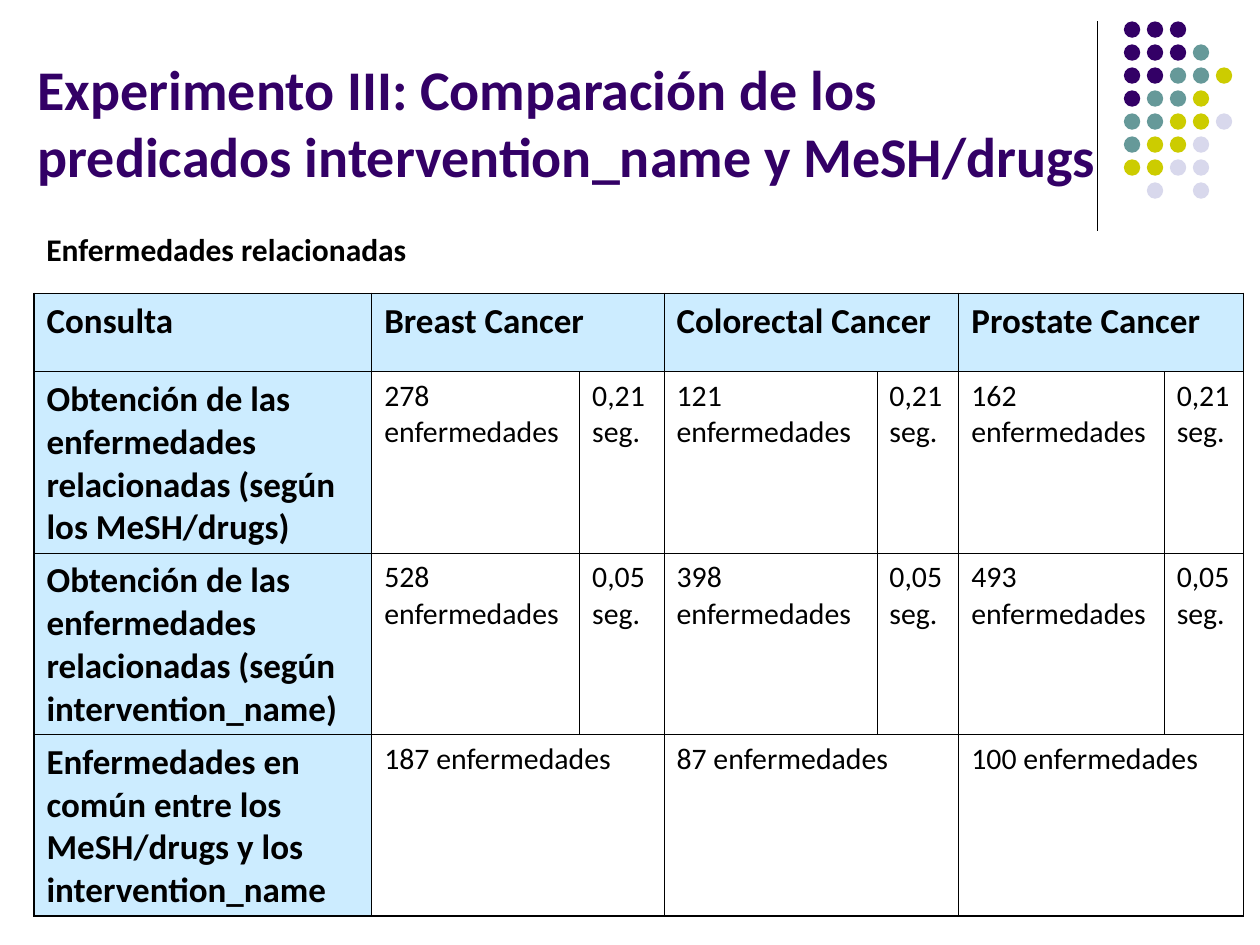
import pptx
import pptx.dml.color
import pptx.enum.shapes
import pptx.enum.text
import pptx.oxml
import pptx.oxml.ns
import pptx.util
import lxml.etree

INK = pptx.dml.color.RGBColor(0x00, 0x00, 0x00)
PURPLE = pptx.dml.color.RGBColor(0x33, 0x00, 0x66)
TEAL = pptx.dml.color.RGBColor(0x66, 0x99, 0x99)
LIME = pptx.dml.color.RGBColor(0xCC, 0xCC, 0x00)
LAVENDER = pptx.dml.color.RGBColor(0xD8, 0xD8, 0xEC)
SKY = pptx.dml.color.RGBColor(0xCC, 0xEC, 0xFF)

FONT = "Calibri"
WIDTH, HEIGHT = 10, 7.5
THIN, THICK = 0.45, 1.08

DOT_COLORS = {"P": PURPLE, "T": TEAL, "L": LIME, "V": LAVENDER}
DOT_ROWS = ["PPP", "PPPT", "PPTTL", "PTTL", "TTLLV", "TLLV", "LLVV", " V V"]
DOT_LEFT, DOT_TOP, DOT_SIZE = 8.92, 0.17, 0.13
DOT_PITCH = 0.73 / 4

COLUMN_WIDTHS = [2.68, 1.65, 0.67, 1.69, 0.65, 1.63, 0.63]
ROW_HEIGHTS = [0.62, 1.44, 1.44, 1.44]
PAIR_COLUMNS = [1, 3, 5]
PAIRED_ROWS = [0, 3]
TABLE_TEXT = [
    ["Consulta", "Breast Cancer", "", "Colorectal Cancer", "", "Prostate Cancer", ""],
    ["Obtención de las enfermedades relacionadas (según los MeSH/drugs)",
     "278 enfermedades", "0,21 seg.", "121 enfermedades", "0,21 seg.",
     "162 enfermedades", "0,21 seg."],
    ["Obtención de las enfermedades relacionadas (según intervention_name)",
     "528 enfermedades", "0,05 seg.", "398 enfermedades", "0,05 seg.",
     "493 enfermedades", "0,05 seg."],
    ["Enfermedades en común entre los MeSH/drugs y los intervention_name",
     "187 enfermedades", "", "87 enfermedades", "", "100 enfermedades", ""],
]


def inches(*lengths):
    return [pptx.util.Inches(length) for length in lengths]


def add_span(para, text, size, color, bold):
    span = para.add_run()
    span.text = text
    span.font.name = FONT
    span.font.size = pptx.util.Pt(size)
    span.font.bold = bold
    span.font.color.rgb = color


def add_text(page, area, lines, size, color, anchor):
    box = page.shapes.add_textbox(*inches(*area))
    frame = box.text_frame
    frame.word_wrap = True
    frame.vertical_anchor = anchor
    para = frame.paragraphs[0]
    for index, line in enumerate(lines):
        if index:
            para.add_line_break()
        add_span(para, line, size, color, True)


def add_divider(page):
    rule = page.shapes.add_connector(
        pptx.enum.shapes.MSO_CONNECTOR.STRAIGHT, *inches(8.71, 0.17, 8.71, 1.83))
    rule.line.color.rgb = INK
    rule.line.width = pptx.util.Pt(0.75)
    lxml.etree.SubElement(rule._element.spPr, pptx.oxml.ns.qn("a:effectLst"))


def add_dots(page):
    group = page.shapes.add_group_shape()
    for row, marks in enumerate(DOT_ROWS):
        for column, mark in enumerate(marks):
            if mark not in DOT_COLORS:
                continue
            dot = group.shapes.add_shape(
                pptx.enum.shapes.MSO_SHAPE.OVAL,
                *inches(DOT_LEFT + column * DOT_PITCH, DOT_TOP + row * DOT_PITCH,
                        DOT_SIZE, DOT_SIZE))
            dot.shadow.inherit = False
            dot.fill.solid()
            dot.fill.fore_color.rgb = DOT_COLORS[mark]
            dot.line.fill.background()


def set_borders(cell, row, column):
    last_column = column + cell.span_width == len(COLUMN_WIDTHS)
    outer_sides = {"lnL": column == 0, "lnR": last_column,
                   "lnT": row == 0, "lnB": row == len(ROW_HEIGHTS) - 1}
    properties = cell._tc.get_or_add_tcPr()
    for side, outer in outer_sides.items():
        width = pptx.util.Pt(THICK if outer else THIN)
        edge = lxml.etree.SubElement(
            properties, pptx.oxml.ns.qn("a:" + side), w=str(int(width)))
        fill = lxml.etree.SubElement(edge, pptx.oxml.ns.qn("a:solidFill"))
        lxml.etree.SubElement(fill, pptx.oxml.ns.qn("a:srgbClr"), val=str(INK))


def fill_cell(cell, row, column, text):
    heading = row == 0 or column == 0
    set_borders(cell, row, column)
    if heading:
        cell.fill.solid()
        cell.fill.fore_color.rgb = SKY
    else:
        cell.fill.background()
    if text:
        add_span(cell.text_frame.paragraphs[0], text, 20 if heading else 17, INK, heading)


def add_results(page):
    frame = page.shapes.add_table(
        len(ROW_HEIGHTS), len(COLUMN_WIDTHS),
        *inches(0.27, 2.33, sum(COLUMN_WIDTHS), sum(ROW_HEIGHTS)))
    table = frame.table
    table.first_row = False
    table.horz_banding = False
    for column, width in zip(table.columns, COLUMN_WIDTHS):
        column.width = pptx.util.Inches(width)
    for row, height in zip(table.rows, ROW_HEIGHTS):
        row.height = pptx.util.Inches(height)
    for row in PAIRED_ROWS:
        for column in PAIR_COLUMNS:
            table.cell(row, column).merge(table.cell(row, column + 1))
    for row, texts in enumerate(TABLE_TEXT):
        for column, text in enumerate(texts):
            fill_cell(table.cell(row, column), row, column, text)


def main():
    deck = pptx.Presentation()
    deck.slide_width, deck.slide_height = inches(WIDTH, HEIGHT)
    page = deck.slides.add_slide(deck.slide_layouts[6])
    add_divider(page)
    add_dots(page)
    add_text(page, (0.2, 0.13, 9.14, 1.42),
             ["Experimento III: Comparación de los ",
              "predicados intervention_name y MeSH/drugs"],
             32, PURPLE, pptx.enum.text.MSO_ANCHOR.BOTTOM)
    add_results(page)
    add_text(page, (0.27, 1.78, 9.14, 0.4), ["Enfermedades relacionadas"],
             18, INK, pptx.enum.text.MSO_ANCHOR.TOP)
    deck.save("out.pptx")


if __name__ == "__main__":
    main()
